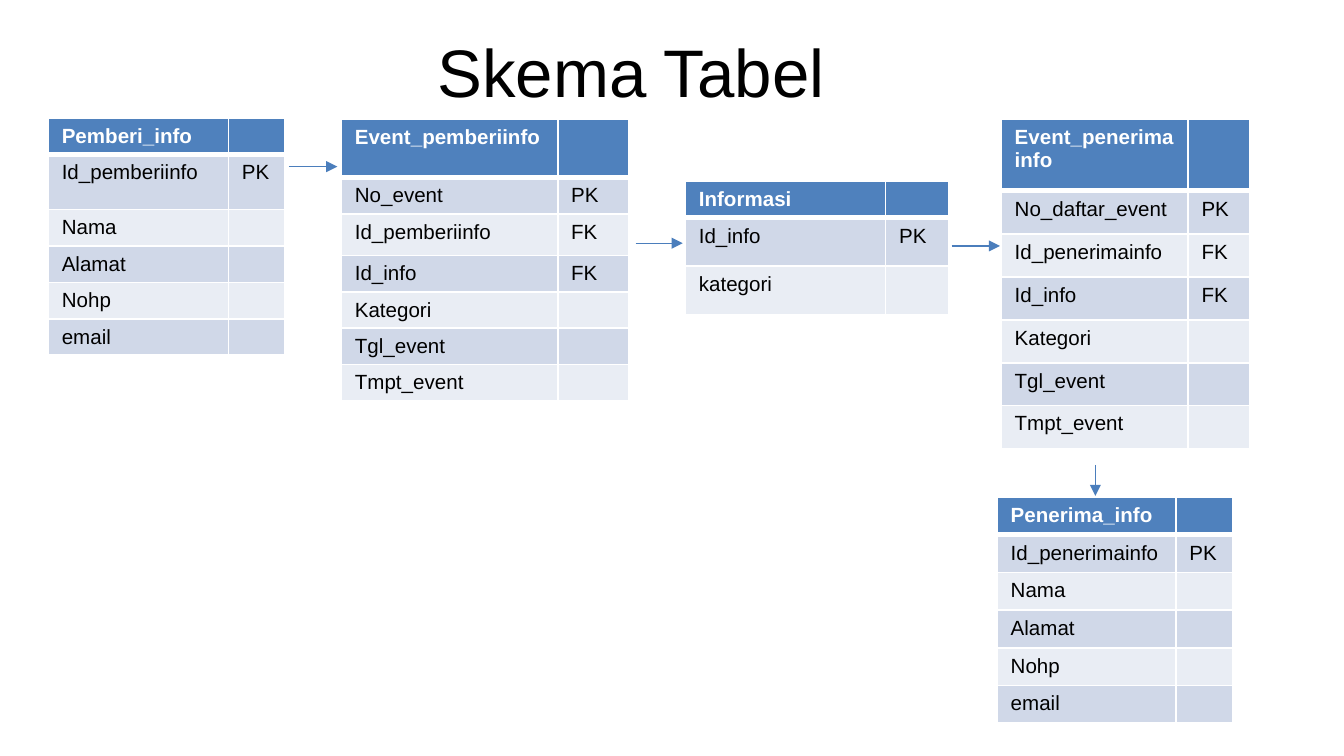
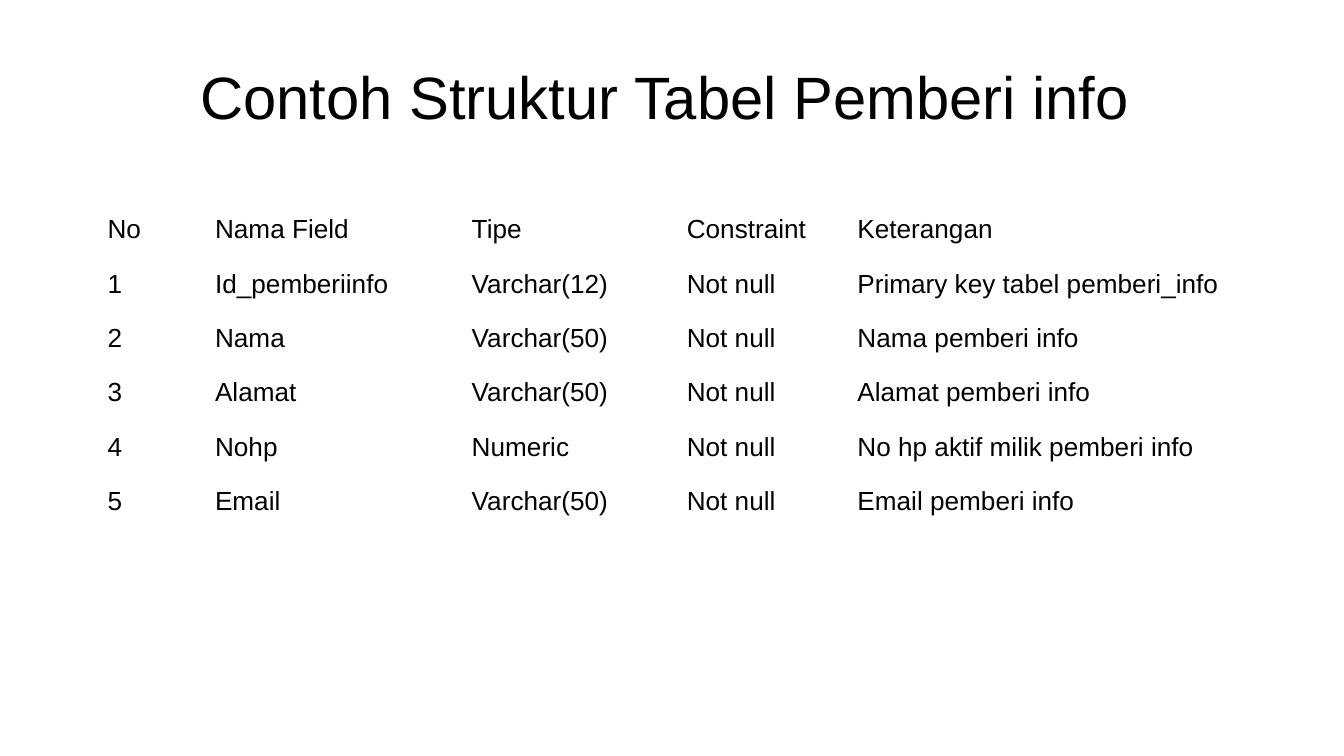
from lxml.etree import SubElement
from pptx import Presentation
from pptx.dml.color import RGBColor
from pptx.enum.shapes import MSO_CONNECTOR
from pptx.enum.text import MSO_ANCHOR, MSO_AUTO_SIZE, PP_ALIGN
from pptx.oxml.ns import qn
from pptx.util import Inches, Pt

FONT = "Arial"
TITLE_ONLY = 5
PAGE_WIDTH = 10
PAGE_HEIGHT = PAGE_WIDTH * 9 / 16
COLORS = {"text": "000000", "white": "FFFFFF", "header": "4F81BD",
          "band_dark": "D0D8E8", "band_light": "E9EDF4", "arrow": "4B7EBC"}

SCHEMA_TITLE = {"text": "Skema Tabel", "at": (1.24, 0.29, 6.91, 0.47), "size": 36}
# name, (left, top), column widths, row heights, fields with their keys
ENTITIES = [
    ("Pemberi_info", (0.36, 0.88), (1.34, 0.42), [0.25, 0.41] + [0.25] * 4,
     [("Id_pemberiinfo", "PK"), ("Nama", ""), ("Alamat", ""), ("Nohp", ""), ("email", "")]),
    ("Event_pemberiinfo", (2.54, 0.89), (1.61, 0.53), [0.43, 0.25, 0.31] + [0.25] * 4,
     [("No_event", "PK"), ("Id_pemberiinfo", "FK"), ("Id_info", "FK"),
      ("Kategori", ""), ("Tgl_event", ""), ("Tmpt_event", "")]),
    ("Event_penerimainfo", (7.45, 0.89), (1.39, 0.46), [0.53] + [0.32] * 6,
     [("No_daftar_event", "PK"), ("Id_penerimainfo", "FK"), ("Id_info", "FK"),
      ("Kategori", ""), ("Tgl_event", ""), ("Tmpt_event", "")]),
    ("Informasi", (5.1, 1.35), (1.49, 0.47), [0.25, 0.36, 0.36],
     [("Id_info", "PK"), ("kategori", "")]),
    ("Penerima_info", (7.42, 3.7), (1.33, 0.42), [0.28] * 6,
     [("Id_penerimainfo", "PK"), ("Nama", ""), ("Alamat", ""), ("Nohp", ""), ("email", "")]),
]
ARROWS = [(2.15, 1.24, 2.51, 1.24), (4.73, 1.81, 5.08, 1.81),
          (7.08, 1.83, 7.44, 1.83), (8.15, 3.46, 8.15, 3.69)]

STRUCTURE_TITLE = {"text": "Contoh Struktur Tabel Pemberi info",
                   "at": (1, 0.37, 7.9, 0.68), "size": 32}
STRUCTURE_AT = (0.7, 1.55)
STRUCTURE_WIDTHS = (0.8, 1.91, 1.6, 1.27, 3.08)
STRUCTURE_HEIGHT = 2.43
STRUCTURE = [
    ("No", "Nama Field", "Tipe", "Constraint", "Keterangan"),
    ("1", "Id_pemberiinfo", "Varchar(12)", "Not null", "Primary key tabel pemberi_info"),
    ("2", "Nama", "Varchar(50)", "Not null", "Nama pemberi info"),
    ("3", "Alamat", "Varchar(50)", "Not null", "Alamat pemberi info"),
    ("4", "Nohp", "Numeric", "Not null", "No hp aktif milik pemberi info"),
    ("5", "Email", "Varchar(50)", "Not null", "Email pemberi info"),
]


def rgb(name):
    return RGBColor.from_string(COLORS[name])


def style_font(font, size, color="text", bold=False):
    for key, value in {"name": FONT, "size": Pt(size), "bold": bold}.items():
        setattr(font, key, value)
    font.color.rgb = rgb(color)


def add_page(deck, title):
    page = deck.slides.add_slide(deck.slide_layouts[TITLE_ONLY])
    box = page.shapes.title
    box.left, box.top, box.width, box.height = map(Inches, title["at"])
    frame = box.text_frame
    frame.auto_size = MSO_AUTO_SIZE.NONE
    frame.vertical_anchor = MSO_ANCHOR.MIDDLE
    for side in ("left", "top", "right", "bottom"):
        setattr(frame, f"margin_{side}", Inches(0.1))
    para = frame.paragraphs[0]
    para.alignment = PP_ALIGN.CENTER
    span = para.add_run()
    span.text = title["text"]
    style_font(span.font, title["size"])
    return page


def set_borders(cell, bottom):
    properties = cell._tc.get_or_add_tcPr()
    for tag, width in {"lnL": 1, "lnR": 1, "lnT": 1, "lnB": bottom}.items():
        line = SubElement(properties, qn(f"a:{tag}"), w=str(Pt(width)))
        fill = SubElement(line, qn("a:solidFill"))
        SubElement(fill, qn("a:srgbClr"), val=COLORS["white"])


def write_cell(cell, text, size, color="text", bold=False):
    para = cell.text_frame.paragraphs[0]
    if text:
        span = para.add_run()
        span.text = text
        style_font(span.font, size, color, bold)
    else:  # keeps an empty cell from stretching its row
        end = SubElement(para._p, qn("a:endParaRPr"), sz=str(size * 100))
        SubElement(end, qn("a:latin"), typeface=FONT)


def add_grid(page, at, widths, heights):
    left, top = at
    table = page.shapes.add_table(
        len(heights), len(widths), Inches(left), Inches(top),
        Inches(sum(widths)), Inches(sum(heights))).table
    table.first_row = table.horz_banding = False
    for column, width in zip(table.columns, widths):
        column.width = Inches(width)
    for row, height in zip(table.rows, heights):
        row.height = Inches(height)
    return table


def add_entity(page, name, at, widths, heights, fields):
    table = add_grid(page, at, widths, heights)
    for r, values in enumerate([(name, "")] + fields):
        header = r == 0
        fill = "header" if header else ("band_light", "band_dark")[r % 2]
        for c, text in enumerate(values):
            cell = table.cell(r, c)
            set_borders(cell, bottom=3 if header else 1)
            cell.fill.solid()
            cell.fill.fore_color.rgb = rgb(fill)
            write_cell(cell, text, 11, "white" if header else "text", header)


def add_arrow(page, ends):
    arrow = page.shapes.add_connector(MSO_CONNECTOR.STRAIGHT, *map(Inches, ends))
    arrow.line.width = Pt(0.75)
    arrow.line.color.rgb = rgb("arrow")
    SubElement(arrow.line._get_or_add_ln(), qn("a:tailEnd"), type="triangle")
    SubElement(arrow._element.spPr, qn("a:effectLst"))


def add_structure(page):
    rows = len(STRUCTURE)
    table = add_grid(page, STRUCTURE_AT, STRUCTURE_WIDTHS, [STRUCTURE_HEIGHT / rows] * rows)
    for r, values in enumerate(STRUCTURE):
        for c, text in enumerate(values):
            cell = table.cell(r, c)
            cell.fill.background()
            write_cell(cell, text, 14)


def main():
    deck = Presentation()
    deck.slide_width, deck.slide_height = Inches(PAGE_WIDTH), Inches(PAGE_HEIGHT)

    schema = add_page(deck, SCHEMA_TITLE)
    for entity in ENTITIES:
        add_entity(schema, *entity)
    for ends in ARROWS:
        add_arrow(schema, ends)

    add_structure(add_page(deck, STRUCTURE_TITLE))
    deck.save("out.pptx")


if __name__ == "__main__":
    main()
